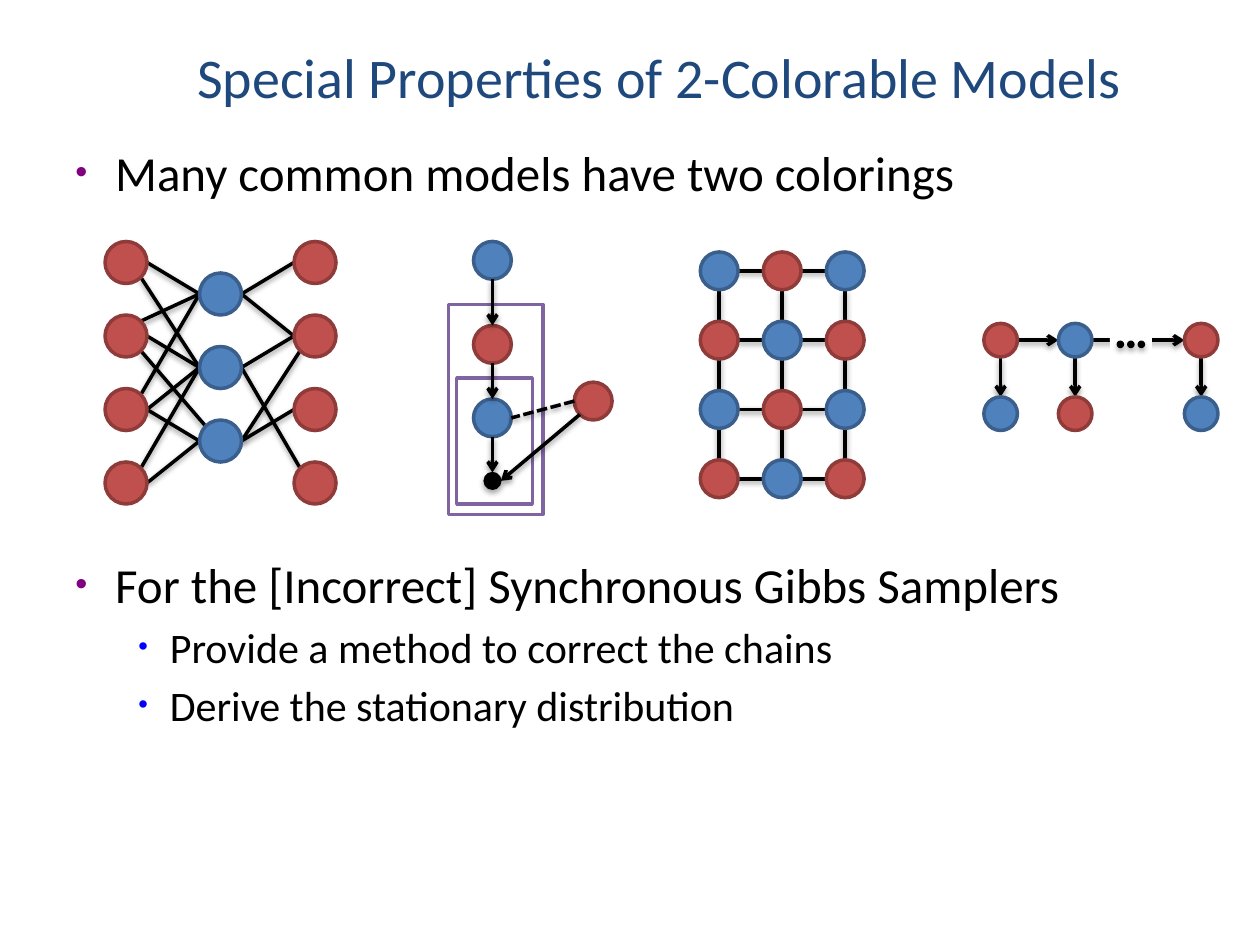
import math
import pptx
import pptx.util
import pptx.dml.color
import pptx.enum.dml
import pptx.enum.shapes
import pptx.enum.text
import pptx.oxml
import pptx.oxml.ns

RGB = pptx.dml.color.RGBColor
RED, MAROON = RGB(0xC0, 0x50, 0x4D), RGB(0x8E, 0x3B, 0x39)
BLUE, STEEL = RGB(0x4F, 0x81, 0xBD), RGB(0x3A, 0x5F, 0x8C)
NAVY = RGB(0x1F, 0x49, 0x7D)
BLACK, WHITE = RGB(0, 0, 0), RGB(255, 255, 255)
VIOLET = RGB(0x80, 0x64, 0xA2)
PURPLE, AZURE = RGB(0x80, 0, 0x80), RGB(0, 0, 0xFF)
RIM = {RED: MAROON, BLUE: STEEL}
KIND = pptx.enum.shapes.MSO_SHAPE
SCALE = 7620
TOP, TOPLEFT, LEFT, LOWLEFT, LOW, LOWRIGHT, RIGHT, TOPRIGHT = range(8)


def px(*vals):
    return [pptx.util.Emu(round(v * SCALE)) for v in vals]


def add_xml(parent, body):
    root = pptx.oxml.parse_xml(f'<a:r {pptx.oxml.ns.nsdecls("a")}>{body}</a:r>')
    for item in list(root):
        parent.append(item)


def cast(shape, alpha, dist):
    add_xml(shape._element.spPr, f'''<a:effectLst>
        <a:outerShdw blurRad="40000" dist="{dist}" dir="5400000" rotWithShape="0">
        <a:srgbClr val="{BLACK}"><a:alpha val="{alpha}"/></a:srgbClr>
        </a:outerShdw></a:effectLst>''')


def draw(shapes, kind, box, fill, edge=None, width=2):
    shape = shapes.add_shape(kind, *px(*box))
    shape.fill.solid()
    shape.fill.fore_color.rgb = fill
    if edge is None:
        shape.line.fill.background()
    else:
        shape.line.color.rgb = edge
        shape.line.width = pptx.util.Pt(width)
    return shape


def disc(shapes, node, color):
    x, y, size = node
    box = (x - size / 2, y - size / 2, size, size)
    shape = draw(shapes, KIND.OVAL, box, color, RIM[color])
    shape.shadow.inherit = False


def dot(shapes, node):
    x, y, size = node
    box = (x - size / 2, y - size / 2, size, size)
    cast(draw(shapes, KIND.OVAL, box, BLACK, BLACK, 0.75), 35000, 23000)


def port(node, site):
    x, y, size = node
    angle = site * math.pi / 4
    return x - size / 2 * math.sin(angle), y - size / 2 * math.cos(angle)


def link(shapes, start, out, end, into, arrow=False, dash=False):
    ends = px(*port(start, out), *port(end, into))
    line = shapes.add_connector(pptx.enum.shapes.MSO_CONNECTOR.STRAIGHT, *ends)
    line.line.color.rgb = BLACK
    line.line.width = pptx.util.Pt(2)
    if dash:
        line.line.dash_style = pptx.enum.dml.MSO_LINE.SQUARE_DOT
    if arrow:
        add_xml(line.line._get_or_add_ln(), '<a:tailEnd type="arrow"/>')
    cast(line, 38000, 20000)


def layers(shapes, x, y):
    size, step = 40, 70
    left = [(x + 20, y + 20 + step * i, size) for i in range(4)]
    mid = [(x + 110, y + 50 + step * i, size) for i in range(3)]
    right = [(x + 200, y + 20 + step * i, size) for i in range(4)]
    for i, out, j, into in [
            (0, RIGHT, 0, LEFT), (1, TOPRIGHT, 0, LEFT), (1, RIGHT, 1, LEFT),
            (2, RIGHT, 1, LEFT), (2, RIGHT, 2, LEFT), (3, RIGHT, 2, LEFT),
            (3, TOPRIGHT, 1, LEFT), (0, LOWRIGHT, 1, LEFT),
            (2, TOPRIGHT, 0, LEFT), (1, LOWRIGHT, 2, TOPLEFT)]:
        link(shapes, left[i], out, mid[j], into)
    for i, j, into in [(0, 0, LEFT), (0, 1, LEFT), (1, 1, LEFT),
                       (2, 1, LOWLEFT), (1, 3, TOPLEFT), (2, 2, LEFT)]:
        link(shapes, mid[i], RIGHT, right[j], into)
    for nodes, color in [(left, RED), (mid, BLUE), (right, RED)]:
        for node in nodes:
            disc(shapes, node, color)


def plates(shapes, x, y):
    for box in [(x, y + 60, 90, 200), (x + 8, y + 130, 72, 120)]:
        draw(shapes, KIND.RECTANGLE, box, WHITE, VIOLET).shadow.inherit = False
    chain = [(x + 42, y + 18, 36), (x + 42, y + 98, 36),
             (x + 42, y + 168, 36), (x + 42, y + 228, 16)]
    side = (x + 138, y + 152, 36)
    for node, color in zip(chain, [BLUE, RED, BLUE]):
        disc(shapes, node, color)
    dot(shapes, chain[-1])
    disc(shapes, side, RED)
    for start, end in zip(chain, chain[1:]):
        link(shapes, start, LOW, end, TOP, arrow=True)
    link(shapes, side, LOWLEFT, chain[-1], RIGHT, arrow=True)
    link(shapes, side, LEFT, chain[2], RIGHT, dash=True)


def grid(shapes, x, y):
    rows = [[(x + 18 + 60 * c, y + 18 + 66 * r, 36) for c in range(3)]
            for r in range(4)]
    for row in rows:
        link(shapes, row[0], RIGHT, row[-1], LEFT)
    for first, last in zip(rows[0], rows[-1]):
        link(shapes, first, LOW, last, TOP)
    for r, row in enumerate(rows):
        for c, node in enumerate(row):
            disc(shapes, node, RED if (r + c) % 2 else BLUE)


def chain(shapes, x, y):
    tops = [(x + dx, y + 16, 32) for dx in (16, 87, 207)]
    lows = [(cx, cy + 70, size) for cx, cy, size in tops]
    for start, end in zip(tops, tops[1:]):
        link(shapes, start, RIGHT, end, LEFT, arrow=True)
    for start, end in zip(tops, lows):
        link(shapes, start, LOW, end, TOP, arrow=True)
    for nodes, colors in [(tops, (RED, BLUE, RED)), (lows, (BLUE, RED, BLUE))]:
        for node, color in zip(nodes, colors):
            disc(shapes, node, color)
    gap = draw(shapes, KIND.RECTANGLE, (x + 120, y + 10, 40, 20), WHITE)
    gap.shadow.inherit = False
    for i in range(3):
        dot(shapes, (x + 130 + 10 * i, y + 20, 6))


def style(para, text, size, color):
    para.text = text
    para.font.name = "Calibri"
    para.font.size = pptx.util.Pt(size)
    para.font.color.rgb = color


def title(shapes, box, text):
    frame = shapes.add_textbox(*px(*box)).text_frame
    frame.word_wrap = True
    frame.vertical_anchor = pptx.enum.text.MSO_ANCHOR.BOTTOM
    style(frame.paragraphs[0], text, 32, NAVY)


def bullets(shapes, box, items):
    frame = shapes.add_textbox(*px(*box)).text_frame
    frame.word_wrap = True
    for i, (level, text) in enumerate(items):
        para = frame.add_paragraph() if i else frame.paragraphs[0]
        size, margin, hang, color, scale = [
            (28, 38, 38, PURPLE, 70), (24, 90, 30, AZURE, 65)][level]
        para.level = level
        if i:
            para.space_before = pptx.util.Pt(4.5)
        props = para._p.get_or_add_pPr()
        props.set("marL", str(margin * SCALE))
        props.set("indent", str(-hang * SCALE))
        add_xml(props, f'''<a:buClr><a:srgbClr val="{color}"/></a:buClr>
            <a:buSzPct val="{scale}000"/><a:buFont typeface="Arial"/>
            <a:buChar char="•"/>''')
        style(para, text, size, BLACK)


def main():
    deck = pptx.Presentation()
    deck.slide_width, deck.slide_height = px(1200, 900)
    shapes = deck.slides.add_slide(deck.slide_layouts[6]).shapes
    title(shapes, (176, 10, 984, 100), "Special Properties of 2-Colorable Models")
    bullets(shapes, (60, 130, 1090, 70),
            [(0, "Many common models have two colorings")])
    bullets(shapes, (60, 522, 1090, 282),
            [(0, "For the [Incorrect] Synchronous Gibbs Samplers"),
             (1, "Provide a method to correct the chains"),
             (1, "Derive the stationary distribution")])
    for model, x, y in [(layers, 100, 230), (plates, 427, 230),
                        (grid, 667, 240), (chain, 937, 308)]:
        model(shapes.add_group_shape().shapes, x, y)
    deck.save("out.pptx")


if __name__ == "__main__":
    main()
